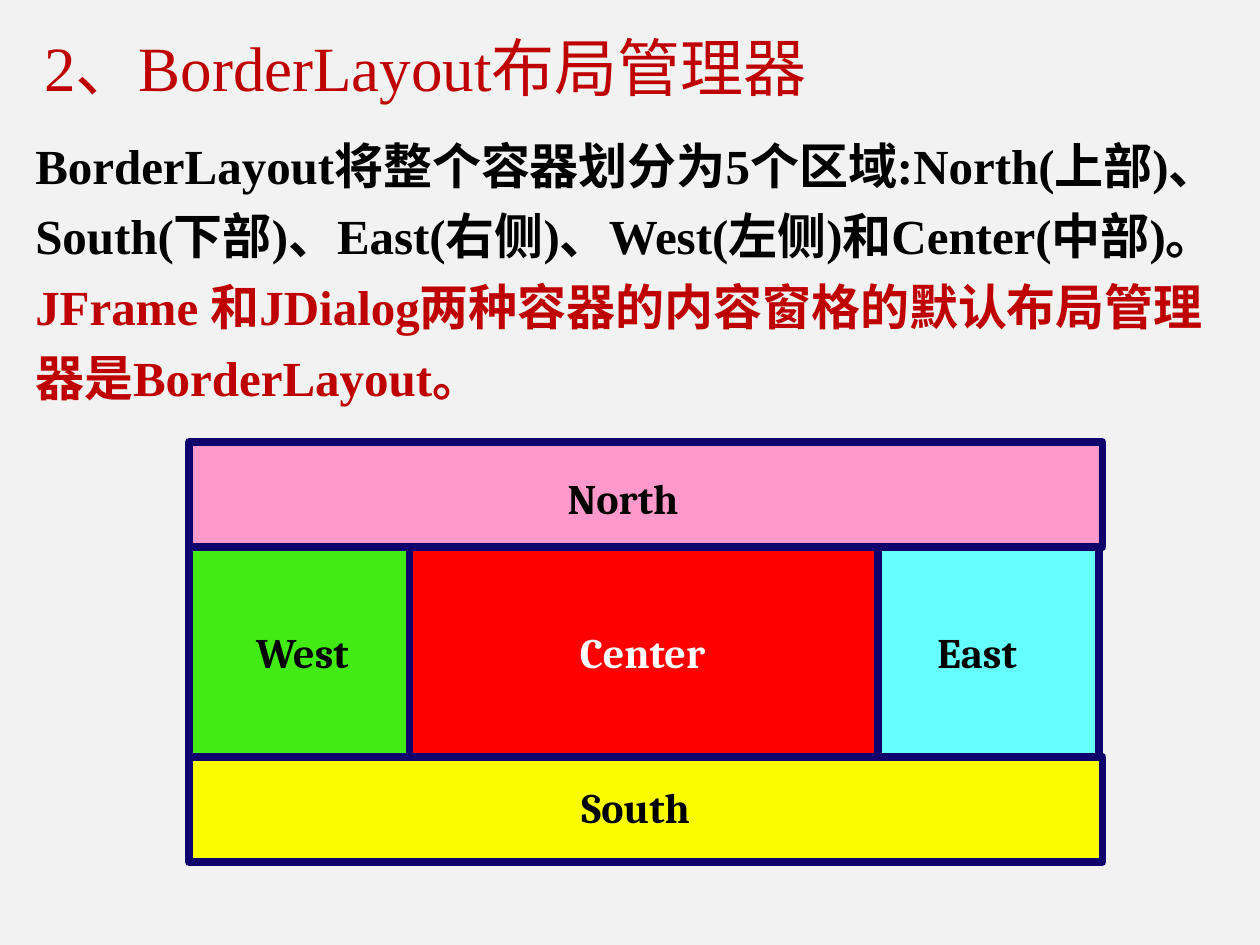
from pptx import Presentation
from pptx.dml.color import RGBColor
from pptx.enum.shapes import MSO_SHAPE
from pptx.enum.text import MSO_ANCHOR, MSO_AUTO_SIZE, PP_ALIGN
from pptx.oxml import parse_xml
from pptx.oxml.ns import nsdecls
from pptx.util import Inches, Pt

BLACK, WHITE, ACCENT, BORDER = "000000", "FFFFFF", "BF0000", "0F026C"
COLUMNS, ROWS = 29, 4

# name, fill, text colour, cell (column, row, columns, rows), label centre (column, row)
REGIONS = [
    ("North", "FF99CC", BLACK, (0, 0, 29, 1), (13.78, 0.56)),
    ("South", "FAFD00", BLACK, (0, 3, 29, 1), (14.18, 3.51)),
    ("West", "41EB13", BLACK, (0, 1, 7, 2), (3.6, 2.03)),
    ("East", "66FFFF", BLACK, (21.88, 1, 7, 2), (25.02, 2.03)),
    ("Center", "FF0000", WHITE, (7, 1, 14.88, 2), (14.4, 2.03)),
]


def color(value):
    return RGBColor.from_string(value)


def style(run, size, face, tint, bold):
    run.font.size, run.font.name, run.font.bold = Pt(size), face, bold
    run.font.color.rgb = color(tint)


def place(shape, box):
    shape.left, shape.top, shape.width, shape.height = (Inches(n) for n in box)
    frame = shape.text_frame
    frame.word_wrap = True
    frame.auto_size = MSO_AUTO_SIZE.NONE
    frame.vertical_anchor = MSO_ANCHOR.TOP
    return frame


def add_heading(slide, box):
    frame = place(slide.shapes.title, box)
    frame.text = "2、BorderLayout布局管理器"
    heading = frame.paragraphs[0]
    heading.alignment = PP_ALIGN.LEFT
    style(heading.runs[0], 36, "Times New Roman", ACCENT, False)


def add_description(slide, box):
    description = place(slide.placeholders[1], box).paragraphs[0]
    properties = description._p.get_or_add_pPr()
    properties.set("marL", str(Inches(0.38)))
    properties.set("indent", "0")
    properties.append(parse_xml(f"<a:buNone {nsdecls('a')}/>"))
    description.alignment = PP_ALIGN.LEFT
    description.line_spacing = 1.2
    description.space_before = Pt(0)
    for words, tint in (
        ("BorderLayout将整个容器划分为5个区域:North(上部)、South(下部)、"
         "East(右侧)、West(左侧)和Center(中部)。", BLACK),
        ("JFrame 和JDialog两种容器的内容窗格的默认布局管理器是BorderLayout。", ACCENT),
    ):
        run = description.add_run()
        run.text = words
        style(run, 28, "Times New Roman", tint, True)


def add_label(diagram, name, tint, center_x, center_y, width=1.2, height=0.46):
    label = diagram.shapes.add_textbox(
        Inches(center_x - width / 2), Inches(center_y - height / 2),
        Inches(width), Inches(height))
    label.text_frame.word_wrap = False
    label.text_frame.text = name
    caption = label.text_frame.paragraphs[0]
    caption.alignment = PP_ALIGN.CENTER
    caption.line_spacing = 0.9
    style(caption.runs[0], 24, "Cambria", tint, True)


def add_layout_diagram(slide, box):
    """Draw the five regions on a grid that fills the box, then their labels."""
    left, top, width, height = box
    column, row = width / COLUMNS, height / ROWS
    diagram = slide.shapes.add_group_shape()
    for _, fill, _, (x, y, across, down), _ in REGIONS:
        region = diagram.shapes.add_shape(
            MSO_SHAPE.RECTANGLE, Inches(left + x * column), Inches(top + y * row),
            Inches(across * column), Inches(down * row))
        region.shadow.inherit = False
        region.fill.solid()
        region.fill.fore_color.rgb = color(fill)
        region.line.color.rgb = color(BORDER)
        region.line.width = Pt(4.5)
    for name, _, tint, _, (x, y) in REGIONS:
        add_label(diagram, name, tint, left + x * column, top + y * row)


def main():
    deck = Presentation()
    deck.slide_width, deck.slide_height = Inches(10), Inches(7.5)
    slide = deck.slides.add_slide(deck.slide_layouts[1])
    slide.background.fill.solid()
    slide.background.fill.fore_color.rgb = color("F2F2F2")
    add_heading(slide, (0.25, 0.18, 8.5, 1.29))
    add_description(slide, (-0.2, 0.93, 10.04, 2.42))
    add_layout_diagram(slide, (1.5, 3.51, 7.25, 3.33))
    deck.save("out.pptx")


if __name__ == "__main__":
    main()
